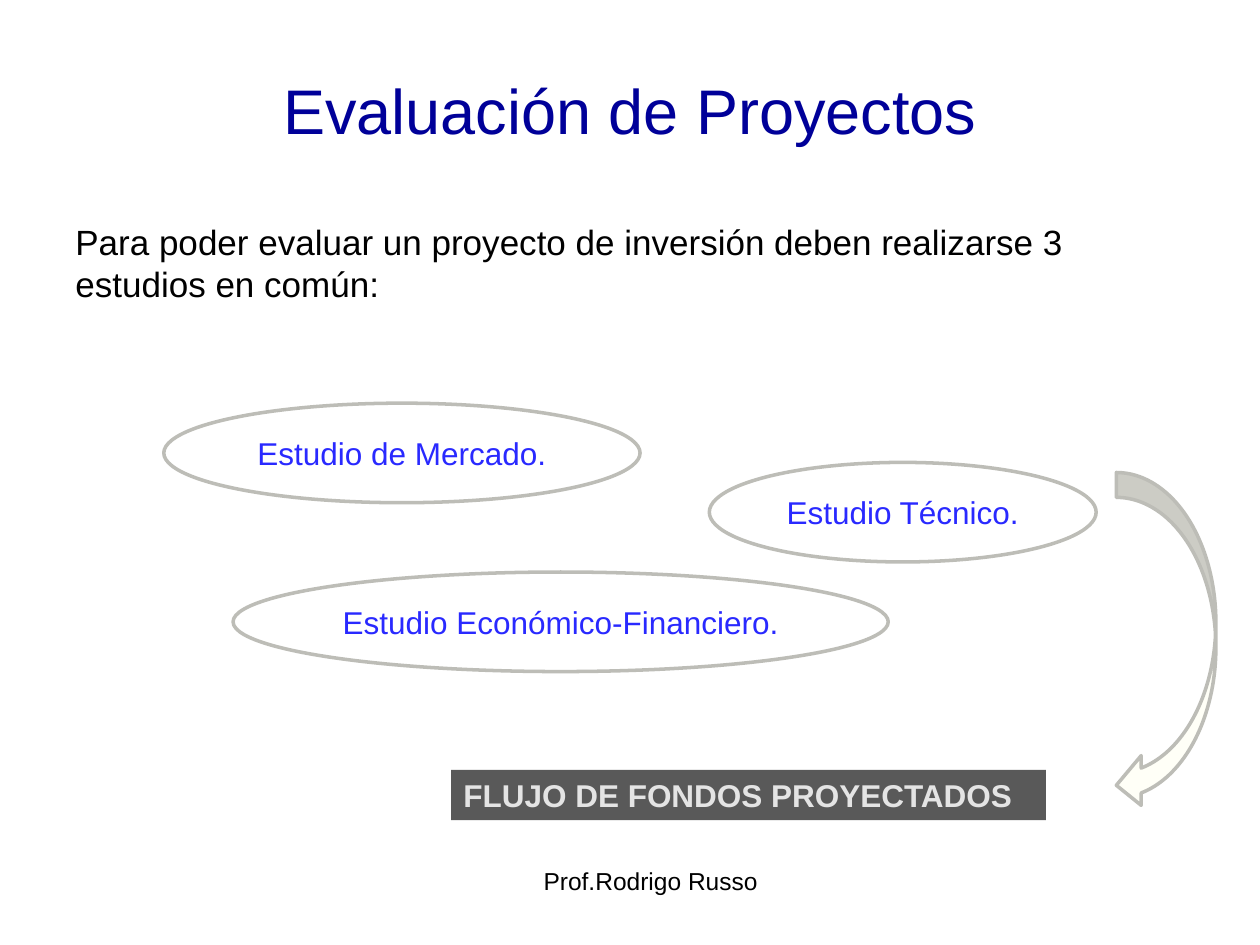
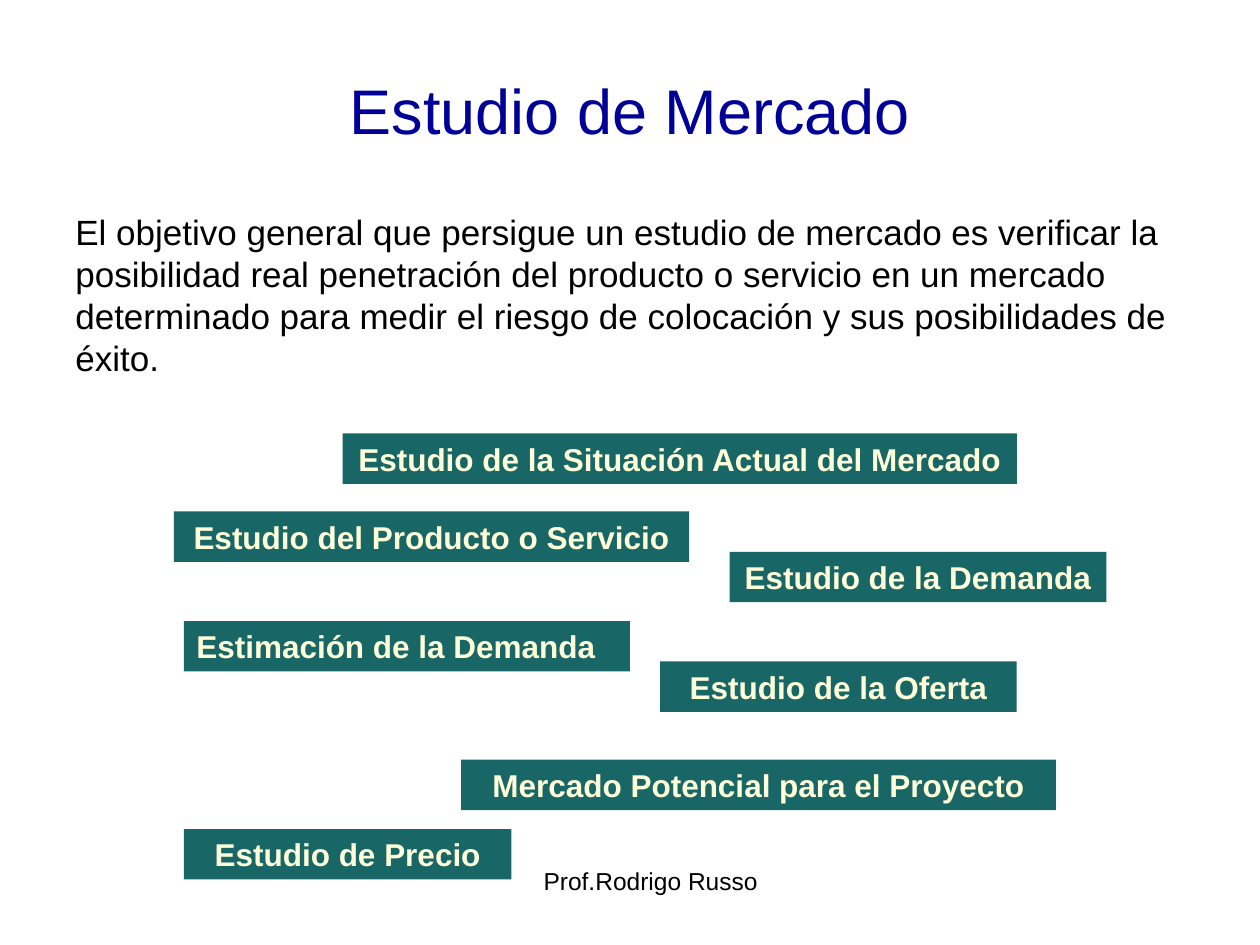
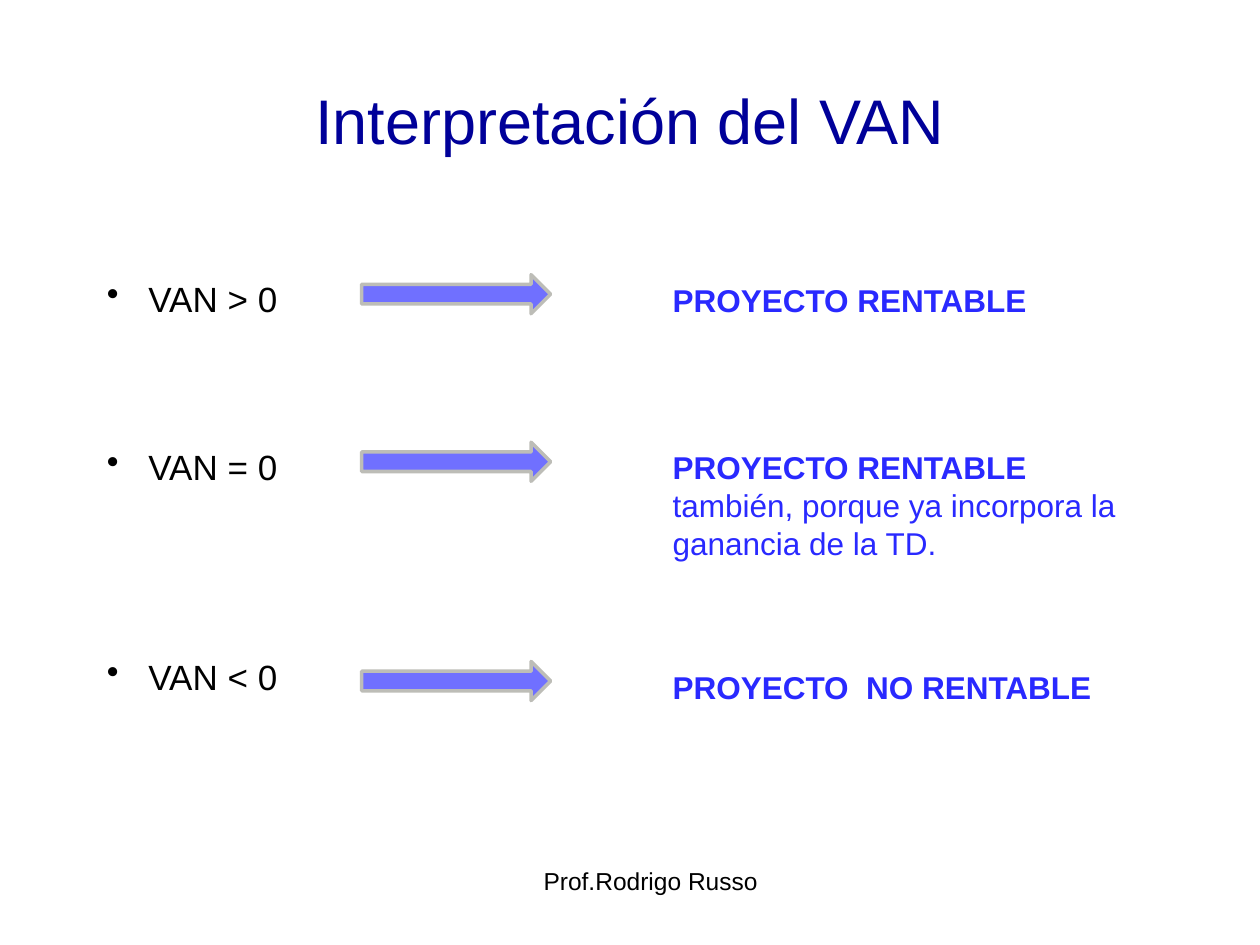
from pptx import Presentation
from pptx.dml.color import RGBColor
from pptx.enum import shapes, text
from pptx.oxml import xmlchemy
from pptx.util import Inches, Pt

FONT = "Arial"
NAVY = RGBColor(0x00, 0x00, 0x99)
BLUE = RGBColor(0x29, 0x29, 0xFF)
LIGHT_BLUE = RGBColor(0x70, 0x70, 0xFF)
BLACK = RGBColor(0x00, 0x00, 0x00)
SILVER = RGBColor(0xBD, 0xBD, 0xB7)
IVORY = RGBColor(0xFF, 0xFF, 0xF7)
CREAM = RGBColor(0xFF, 0xFF, 0xD9)
TEAL = RGBColor(0x19, 0x66, 0x66)
CHARCOAL = RGBColor(0x59, 0x59, 0x59)
PALE_GRAY = RGBColor(0xE4, 0xE4, 0xE4)

LEFT = text.PP_ALIGN.LEFT
CENTER = text.PP_ALIGN.CENTER
SHAPE = shapes.MSO_SHAPE
CHIP_HEIGHT = 0.4
OVAL_HEIGHT = 0.79

FOOTER = "Prof.Rodrigo Russo"
STUDIES_INTRO = ("Para poder evaluar un proyecto de inversión deben realizarse 3 "
                 "estudios en común:")
STUDIES = [
    ("Estudio de Mercado.", 1.3, 3.2, 3.78),
    ("Estudio Técnico.", 5.63, 3.67, 3.07),
    ("Estudio Económico-Financiero.", 1.85, 4.54, 5.2),
]
CASH_FLOW = "FLUJO DE FONDOS PROYECTADOS"
MARKET_INTRO = ("El objetivo general que persigue un estudio de mercado es verificar la "
                "posibilidad real penetración del producto o servicio en un mercado "
                "determinado para medir el riesgo de colocación y sus posibilidades de éxito.")
MARKET_STUDIES = [
    ("Estudio de la Situación Actual del Mercado", 2.72, 3.44, 5.35, CENTER),
    ("Estudio de la Demanda", 5.79, 4.38, 2.99, CENTER),
    ("Estudio del Producto o Servicio", 1.38, 4.06, 4.09, CENTER),
    ("Estimación de la Demanda", 1.46, 4.93, 3.54, LEFT),
    ("Mercado Potencial para el Proyecto", 3.66, 6.03, 4.72, CENTER),
    ("Estudio de Precio", 1.46, 6.58, 2.6, CENTER),
    ("Estudio de la Oferta", 5.24, 5.25, 2.83, CENTER),
]
VAN_CASES = [
    ("VAN > 0", 0, 2.18, 3.54, 0.4, "PROYECTO RENTABLE", ""),
    ("VAN = 0", 72, 3.51, 3.94, 1.01, "PROYECTO RENTABLE ",
     "también, porque ya incorpora la ganancia de la TD."),
    ("VAN < 0", 96, 5.25, 3.54, 0.4, "PROYECTO  NO RENTABLE", ""),
]


def style(para, size, color, bold=False, align=LEFT):
    para.alignment = align
    font = para.font
    font.name, font.size, font.bold = FONT, Pt(size), bold
    font.color.rgb = color


def add_text(page, at, wording, size, color, bold=False, align=LEFT):
    box = page.shapes.add_textbox(*map(Inches, at))
    box.text_frame.word_wrap = True
    para = box.text_frame.paragraphs[0]
    para.text = wording
    style(para, size, color, bold, align)
    return box


def add_figure(page, kind, at, fill=None, line=None):
    figure = page.shapes.add_shape(kind, *map(Inches, at))
    figure.shadow.inherit = False
    if fill is None:
        figure.fill.background()
    else:
        figure.fill.solid()
        figure.fill.fore_color.rgb = fill
    if line is None:
        figure.line.fill.background()
    else:
        figure.line.color.rgb = line
        figure.line.width = Pt(2)
    return figure


def add_chip(page, wording, left, top, width, fill, color, align):
    chip = add_figure(page, SHAPE.RECTANGLE, (left, top, width, CHIP_HEIGHT), fill)
    chip.text_frame.vertical_anchor = text.MSO_ANCHOR.TOP
    chip.text_frame.text = wording
    style(chip.text_frame.paragraphs[0], 18, color, True, align)


def add_page(deck, heading, title_height=1.02):
    page = deck.slides.add_slide(deck.slide_layouts[5])
    add_text(page, (3.58, 6.82, 3.17, 0.52), FOOTER, 14, BLACK, align=CENTER)
    title = page.shapes.title
    title.left, title.top, title.width, title.height = map(
        Inches, (0.75, 0.36, 8.5, title_height))
    title.text_frame.vertical_anchor = text.MSO_ANCHOR.MIDDLE
    title.text_frame.text = heading
    style(title.text_frame.paragraphs[0], 36, NAVY, align=CENTER)
    return page


def add_bullet(para):
    properties = para._p.get_or_add_pPr()
    properties.set("marL", str(Inches(0.58)))
    properties.set("indent", str(Inches(-0.33)))
    bullet = properties.makeelement(
        "{http://schemas.openxmlformats.org/drawingml/2006/main}buChar", {"char": "•"})
    properties.insert_element_before(bullet, "a:tabLst", "a:defRPr", "a:extLst")


def build_evaluation(deck):
    page = add_page(deck, "Evaluación de Proyectos")
    add_text(page, (0.5, 1.7, 9, 4.96), STUDIES_INTRO, 20, BLACK)
    for wording, left, top, width in STUDIES:
        oval = add_figure(page, SHAPE.OVAL, (left, top, width, OVAL_HEIGHT), line=SILVER)
        oval.text_frame.word_wrap = False
        oval.text_frame.text = wording
        style(oval.text_frame.paragraphs[0], 18, BLUE, align=CENTER)
    add_figure(page, SHAPE.CURVED_LEFT_ARROW, (8.86, 3.75, 0.79, 2.68), IVORY, SILVER)
    add_chip(page, CASH_FLOW, 3.58, 6.11, 4.72, CHARCOAL, PALE_GRAY, LEFT)


def build_market(deck):
    page = add_page(deck, "Estudio de Mercado")
    add_text(page, (0.5, 1.62, 9, 5.04), MARKET_INTRO, 20, BLACK)
    for wording, left, top, width, align in MARKET_STUDIES:
        add_chip(page, wording, left, top, width, TEAL, CREAM, align)


def build_van(deck):
    page = add_page(deck, "Interpretación del VAN", 1.18)
    cases = page.shapes.add_textbox(*map(Inches, (0.5, 1.48, 9, 5.19))).text_frame
    cases.word_wrap = True
    cases.margin_top = Inches(0.72)
    for index, (case, gap, top, width, height, verdict, reason) in enumerate(VAN_CASES):
        para = cases.add_paragraph() if index else cases.paragraphs[0]
        para.text = case
        style(para, 20, BLACK)
        para.space_before = Pt(gap)
        add_bullet(para)
        add_figure(page, SHAPE.RIGHT_ARROW, (2.87, top, 1.5, 0.31), LIGHT_BLUE, SILVER)
        box = add_text(page, (5.24, top, width, height), verdict, 18, BLUE, True)
        if reason:
            span = box.text_frame.paragraphs[0].add_run()
            span.text = reason
            span.font.bold = False


def main():
    deck = Presentation()
    deck.slide_width, deck.slide_height = Inches(10), Inches(7.5)
    build_evaluation(deck)
    build_market(deck)
    build_van(deck)
    deck.save("out.pptx")


if __name__ == "__main__":
    main()
